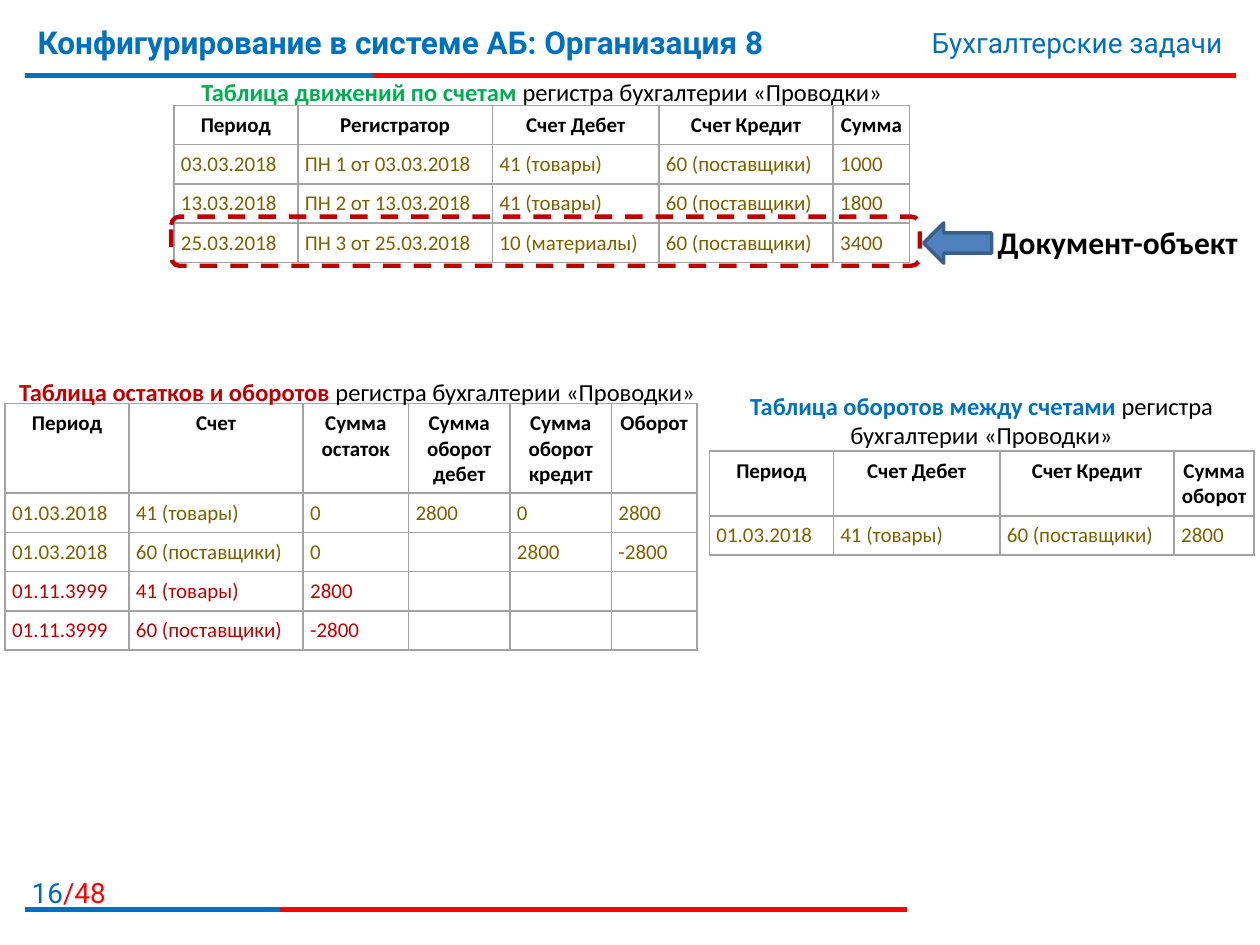
from lxml import etree
from pptx import Presentation
from pptx.dml.color import RGBColor
from pptx.enum.dml import MSO_LINE
from pptx.enum.shapes import MSO_CONNECTOR, MSO_SHAPE
from pptx.enum.text import PP_ALIGN
from pptx.oxml.ns import qn
from pptx.util import Pt

LEFT, CENTER, RIGHT = PP_ALIGN.LEFT, PP_ALIGN.CENTER, PP_ALIGN.RIGHT
STRAIGHT = MSO_CONNECTOR.STRAIGHT
LEFT_ARROW, ROUNDED = MSO_SHAPE.LEFT_ARROW, MSO_SHAPE.ROUNDED_RECTANGLE
DASH = MSO_LINE.DASH

BLUE, RED, DARK_RED, GREEN = "0070C0", "FF0000", "C00000", "00B050"
BLACK, OLIVE, GRAY = "000000", "7F6000", "A3A3A3"
ROW_HEIGHT = 22.4
CELL_MARGIN = 4
REGISTER = "регистра бухгалтерии «Проводки»"


def color(hex_value):
    return RGBColor.from_string(hex_value)


def add_run(paragraph, text, hex_value, **font_values):
    run = paragraph.add_run()
    run.text = text
    for name, value in font_values.items():
        setattr(run.font, name, value)
    run.font.color.rgb = color(hex_value)


def add_text(slide, box, parts, alignment=LEFT, size=14, font="Calibri"):
    """Each part is (text, colour, bold)."""
    frame = slide.shapes.add_textbox(*map(Pt, box)).text_frame
    frame.word_wrap = True
    paragraph = frame.paragraphs[0]
    paragraph.alignment = alignment
    for text, hex_value, bold in parts:
        add_run(paragraph, text, hex_value, size=Pt(size), name=font, bold=bold)


def add_rule(slide, left, right, y, hex_value):
    connector = slide.shapes.add_connector(STRAIGHT, Pt(left), Pt(y), Pt(right), Pt(y))
    connector.line.color.rgb = color(hex_value)
    connector.line.width = Pt(3)
    etree.SubElement(connector._element.spPr, qn("a:effectLst"))


def add_two_color_rule(slide, y, middle, right):
    add_rule(slide, 14.4, right, y, RED)
    add_rule(slide, 14.4, middle, y, BLUE)


def add_marker(slide, kind, box, line_color, line_width, fill=None, dash=None):
    shape = slide.shapes.add_shape(kind, *map(Pt, box))
    shape.shadow.inherit = False
    if fill:
        shape.fill.solid()
        shape.fill.fore_color.rgb = color(fill)
    else:
        shape.fill.background()
    shape.line.color.rgb = color(line_color)
    shape.line.width = Pt(line_width)
    if dash:
        shape.line.dash_style = dash


def set_borders(cell):
    properties = cell._tc.get_or_add_tcPr()
    for index, side in enumerate(("lnL", "lnR", "lnT", "lnB")):
        line = etree.Element(qn(f"a:{side}"), w=str(Pt(1)))
        fill = etree.SubElement(line, qn("a:solidFill"))
        etree.SubElement(fill, qn("a:srgbClr"), val=GRAY)
        properties.insert(index, line)


def fill_cell(cell, text, hex_value, header):
    for side in ("left", "right", "top", "bottom"):
        setattr(cell, f"margin_{side}", Pt(CELL_MARGIN))
    cell.fill.background()
    set_borders(cell)
    paragraph = cell.text_frame.paragraphs[0]
    paragraph.alignment = CENTER if header else LEFT
    if text:
        add_run(paragraph, text, hex_value, size=Pt(12), name="Calibri", bold=header)
    else:
        # The paragraph end mark sets the height of an empty cell
        paragraph._p.get_or_add_endParaRPr().set("sz", "1200")


def add_register_table(slide, left, top, widths, header_height, headings, records):
    """Each record is (text colour, cell values)."""
    rows = [(BLACK, headings)] + records
    height = header_height + ROW_HEIGHT * len(records)
    table = slide.shapes.add_table(
        len(rows), len(widths), Pt(left), Pt(top), Pt(sum(widths)), Pt(height)
    ).table
    table.first_row = table.horz_banding = False
    for column, width in zip(table.columns, widths):
        column.width = Pt(width)
    for row_index, (hex_value, values) in enumerate(rows):
        header = row_index == 0
        table.rows[row_index].height = Pt(header_height if header else ROW_HEIGHT)
        for column_index, value in enumerate(values):
            fill_cell(table.cell(row_index, column_index), value, hex_value, header)


def add_frame(slide):
    add_two_color_rule(slide, 43.2, 213, 706.3)
    add_text(slide, (3.6, 496.8, 64, 23), [("16", "0066CC", False), ("/48", RED, False)],
             RIGHT, 16, "Roboto")
    add_two_color_rule(slide, 519.8, 159.8, 518.4)
    add_text(slide, (14.4, 9.4, 532.8, 44.6),
             [("Конфигурирование в системе АБ: Организация 8", BLUE, True)],
             size=18, font="Roboto")
    add_text(slide, (427.7, 10.8, 277.9, 26.6), [("Бухгалтерские задачи", BLUE, False)],
             RIGHT, 16, "Roboto")


def add_tables(slide):
    goods, suppliers = "41 (товары)", "60 (поставщики)"
    # Turnover between accounts
    add_register_table(
        slide, 405.4, 257.8, (70.8, 95.2, 99.6, 45.6), 37,
        ("Период", "Счет Дебет", "Счет Кредит", "Сумма оборот"),
        [(OLIVE, ("01.03.2018", goods, suppliers, "2800"))])
    # Balances and turnover
    add_register_table(
        slide, 2.9, 230.6, (70.8, 99.6, 60.2, 58, 58, 48.8), 51,
        ("Период", "Счет", "Сумма остаток", "Сумма оборот дебет",
         "Сумма оборот кредит", "Оборот"),
        [(OLIVE, ("01.03.2018", goods, "0", "2800", "0", "2800")),
         (OLIVE, ("01.03.2018", suppliers, "0", "", "2800", "-2800")),
         (DARK_RED, ("01.11.3999", goods, "2800", "", "", "")),
         (DARK_RED, ("01.11.3999", suppliers, "-2800", "", "", ""))])
    # Account movements
    movements = [("03.03.2018", goods, "1000"), ("13.03.2018", goods, "1800"),
                 ("25.03.2018", "10 (материалы)", "3400")]
    add_register_table(
        slide, 99.4, 60.3, (70.8, 111.2, 95.2, 99.6, 43.6), ROW_HEIGHT,
        ("Период", "Регистратор", "Счет Дебет", "Счет Кредит", "Сумма"),
        [(OLIVE, (date, f"ПН {number} от {date}", debit, suppliers, amount))
         for number, (date, debit, amount) in enumerate(movements, 1)])


def add_captions(slide):
    captions = [
        ((100.1, 40.3, 419, 24.5), "Таблица движений по счетам", GREEN),
        ((2.9, 211.7, 402.5, 24.5), "Таблица остатков и оборотов", DARK_RED),
        ((405.4, 219.6, 311, 41.8), "Таблица оборотов между счетами", BLUE),
    ]
    for box, title, hex_value in captions:
        add_text(slide, box, [(title, hex_value, True), (f" {REGISTER}", BLACK, False)], CENTER)


def main():
    presentation = Presentation()
    presentation.slide_width, presentation.slide_height = Pt(720), Pt(540)
    slide = presentation.slides.add_slide(presentation.slide_layouts[6])
    add_frame(slide)
    add_tables(slide)
    add_captions(slide)
    # Highlighted record and its label
    add_marker(slide, LEFT_ARROW, (527.8, 127.4, 38.9, 23), "3A5F8C", 2, fill="4F81BD")
    add_marker(slide, ROUNDED, (97.9, 123.8, 427.7, 28.1), DARK_RED, 2.5, dash=DASH)
    add_text(slide, (563, 123.8, 157, 28.8), [("Документ-объект", BLACK, True)], size=18)
    presentation.save("out.pptx")


if __name__ == "__main__":
    main()
